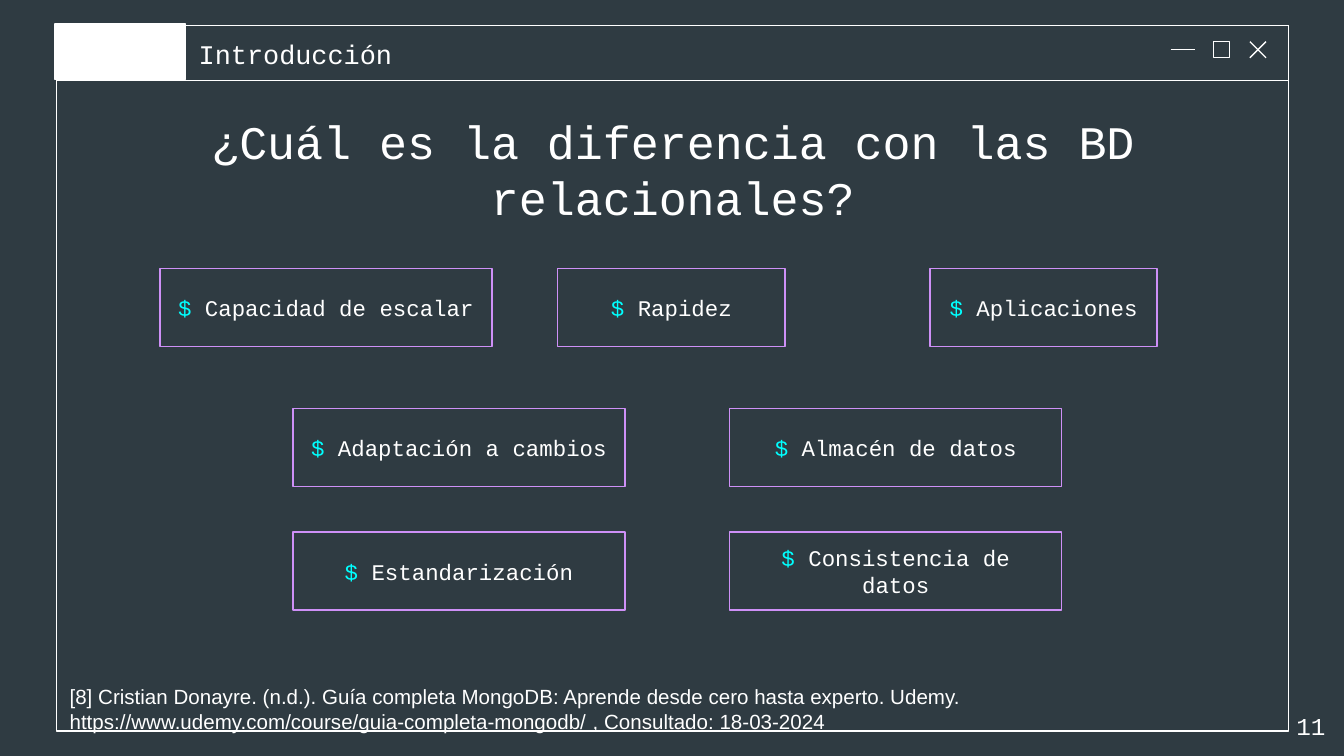
from dataclasses import dataclass

from lxml import etree
from pptx import Presentation
from pptx.dml.color import RGBColor
from pptx.enum.shapes import MSO_CONNECTOR, MSO_SHAPE
from pptx.enum.text import MSO_ANCHOR, PP_ALIGN
from pptx.oxml.ns import qn
from pptx.util import Inches, Pt

RECT = MSO_SHAPE.RECTANGLE
LINE = MSO_CONNECTOR.STRAIGHT
TOP, MIDDLE = MSO_ANCHOR.TOP, MSO_ANCHOR.MIDDLE
LEFT, CENTER, RIGHT = PP_ALIGN.LEFT, PP_ALIGN.CENTER, PP_ALIGN.RIGHT


@dataclass(frozen=True)
class Theme:
    back: RGBColor = RGBColor(0x2F, 0x3B, 0x42)
    white: RGBColor = RGBColor(0xFF, 0xFF, 0xFF)
    cyan: RGBColor = RGBColor(0x00, 0xFF, 0xFF)
    violet: RGBColor = RGBColor(0xCE, 0x90, 0xF7)
    mono: str = "Courier New"
    sans: str = "Arial"
    head: float = 25
    title: float = 14.4
    page: float = 13
    chip: float = 12
    note: float = 11
    rule: float = 0.75


THEME = Theme()


def add_box(slide, at, line, fill=None):
    box = slide.shapes.add_shape(RECT, *map(Inches, at))
    box.shadow.inherit = False
    if fill is None:
        box.fill.background()
    else:
        box.fill.solid()
        box.fill.fore_color.rgb = fill
    box.line.color.rgb = line
    box.line.width = Pt(THEME.rule)
    return box


def add_line(slide, start, end):
    line = slide.shapes.add_connector(LINE, *map(Inches, start + end))
    line.line.color.rgb = THEME.white
    line.line.width = Pt(THEME.rule)
    etree.SubElement(line._element.spPr, qn("a:effectLst"))


def set_text(shape, runs, size, align=LEFT, anchor=TOP, face=THEME.mono):
    """Fill a shape with one paragraph; runs are (text, format values) pairs."""
    frame = shape.text_frame
    inset = Inches(0.1)
    form = {"word_wrap": True, "vertical_anchor": anchor,
            "margin_left": inset, "margin_right": inset,
            "margin_top": inset, "margin_bottom": inset}
    for key, value in form.items():
        setattr(frame, key, value)
    para = frame.paragraphs[0]
    para.alignment = align
    for text, extra in runs:
        run = para.add_run()
        run.text = text
        form = {"name": face, "size": Pt(size), "color": THEME.white} | extra
        run.font.color.rgb = form.pop("color")
        for key, value in form.items():
            setattr(run.font, key, value)


def add_text(slide, at, runs, size, **form):
    box = slide.shapes.add_textbox(*map(Inches, at))
    set_text(box, runs, size, **form)


def add_chip(slide, left, top, width, label):
    chip = add_box(slide, (left, top, width, 0.58), THEME.violet)
    runs = [("$", {"color": THEME.cyan}), (" " + label, {})]
    set_text(chip, runs, THEME.chip, CENTER, MIDDLE)


def add_frame(slide):
    # Window outline and title bar
    for height in (5.25, 0.41):
        add_box(slide, (0.42, 0.19, 9.17, height), THEME.white)
    # Window buttons: close, minimise, maximise
    add_line(slide, (9.3, 0.31), (9.42, 0.43))
    add_line(slide, (9.42, 0.31), (9.3, 0.43))
    add_line(slide, (8.71, 0.37), (8.89, 0.37))
    add_box(slide, (9.03, 0.31, 0.12, 0.12), THEME.white)
    # White tab
    add_box(slide, (0.41, 0.18, 0.97, 0.41), THEME.white, THEME.white)


def main():
    # Widescreen, 16:9
    deck = Presentation()
    deck.slide_width, deck.slide_height = Inches(10), Inches(10 * 9 / 16)
    slide = deck.slides.add_slide(deck.slide_layouts[6])
    slide.background.fill.solid()
    slide.background.fill.fore_color.rgb = THEME.back

    add_frame(slide)

    # Title, question and page number
    add_text(slide, (1.38, 0.18, 6.52, 0.41), [("Introducción", {})],
             THEME.title)
    add_text(slide, (0.51, 0.65, 8.99, 1.21),
             [("¿Cuál es la diferencia con las BD relacionales?", {})],
             THEME.head, align=CENTER, anchor=MIDDLE)
    add_text(slide, (9.36, 5.19, 0.6, 0.43), [("11", {})],
             THEME.page, align=RIGHT)

    # Differences, row by row
    wide, slim = 2.47, 1.69
    rows = [
        (2, [(1.19, wide, "Capacidad de escalar"),
             (4.15, slim, "Rapidez"),
             (6.92, slim, "Aplicaciones")]),
        (3.04, [(2.18, wide, "Adaptación a cambios"),
                (5.43, wide, "Almacén de datos")]),
        (3.96, [(2.18, wide, "Estandarización"),
                (5.43, wide, "Consistencia de datos")]),
    ]
    for top, chips in rows:
        for left, width, label in chips:
            add_chip(slide, left, top, width, label)

    # Reference
    add_text(slide, (0.42, 4.99, 9.16, 0.57), [
        ("[8] Cristian Donayre. (n.d.). Guía completa MongoDB: "
         "Aprende desde cero hasta experto. Udemy. ", {}),
        ("https://www.udemy.com/course/guia-completa-mongodb/",
         {"underline": True}),
        (" , Consultado: 18-03-2024", {}),
    ], THEME.note, face=THEME.sans)

    deck.save("out.pptx")


if __name__ == "__main__":
    main()
